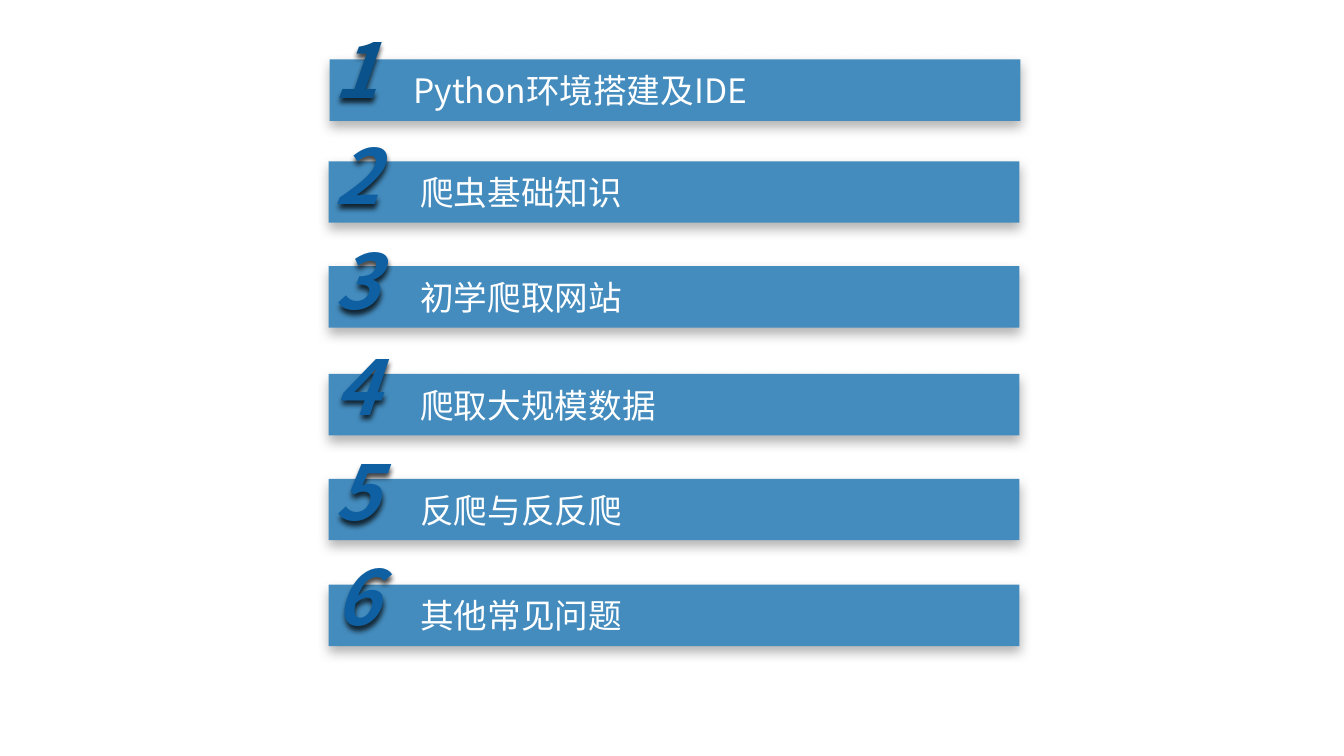
from lxml.etree import SubElement
from pptx import Presentation
from pptx.dml.color import RGBColor
from pptx.enum.shapes import MSO_SHAPE
from pptx.enum.text import MSO_ANCHOR, MSO_AUTO_SIZE, PP_ALIGN
from pptx.oxml.ns import qn
from pptx.util import Inches, Pt

COLORS = {"bar": "448CBE", "label": "FFFFFF", "first": "09528B",
          "digit": "0E60A2", "soft": "808080", "dark": "000000"}
FONT = "Noto Sans CJK SC"

# label, bar left, bar top, label inset, digit left, digit width, digit colour
ROWS = [
    ("Python环境搭建及IDE", 3.27, 0.59, 0.83, 3.21, 0.77, "first"),
    ("爬虫基础知识", 3.26, 1.6, 0.91, 3.22, 0.75, "digit"),
    ("初学爬取网站", 3.26, 2.64, 0.91, 3.22, 1.05, "digit"),
    ("爬取大规模数据", 3.26, 3.71, 0.91, 3.22, 1.05, "digit"),
    ("反爬与反反爬", 3.26, 4.75, 0.91, 3.22, 1.05, "digit"),
    ("其他常见问题", 3.26, 5.8, 0.91, 3.22, 1.05, "digit"),
]
DIGIT_TOP, DIGIT_SPAN = 0.18, 5.23


class Agenda:
    def __init__(self, slide):
        self.slide = slide
        self.group = None

    def start(self):
        """Open a new group for one agenda row."""
        self.group = self.slide.shapes.add_group_shape().shapes

    def color(self, name):
        return RGBColor.from_string(COLORS[name])

    def shadow(self, shape, name, alpha, blur, dist):
        """Cast a shadow straight down; alpha in percent, lengths in points."""
        shape.shadow.inherit = False
        effects = shape._element.spPr.find(qn("a:effectLst"))
        outer = SubElement(effects, qn("a:outerShdw"), blurRad=str(Pt(blur)),
                           dist=str(Pt(dist)), dir="5400000",
                           algn="t", rotWithShape="0")
        tint = SubElement(outer, qn("a:srgbClr"), val=COLORS[name])
        SubElement(tint, qn("a:alpha"), val=str(alpha * 1000))

    def label(self, shape, text, color, frame, font):
        for key, value in frame.items():
            setattr(shape.text_frame, key, value)
        para = shape.text_frame.paragraphs[0]
        para.alignment = PP_ALIGN.LEFT
        run = para.add_run()
        run.text = text
        for key, value in {"name": FONT, **font}.items():
            setattr(run.font, key, value)
        run.font.color.rgb = self.color(color)
        SubElement(run._r.get_or_add_rPr(), qn("a:ea"), typeface=FONT)

    def bar(self, text, left, top, inset):
        shape = self.group.add_shape(MSO_SHAPE.RECTANGLE, Inches(left), Inches(top),
                                     Inches(6.85), Inches(0.61))
        shape.fill.solid()
        shape.fill.fore_color.rgb = self.color("bar")
        shape.line.fill.background()
        self.shadow(shape, "soft", 58, 8, 4)
        self.label(shape, text, "label",
                   {"word_wrap": True, "vertical_anchor": MSO_ANCHOR.MIDDLE,
                    "margin_left": Inches(inset)},
                   {"size": Pt(24)})

    def digit(self, text, left, top, width, color):
        box = self.group.add_textbox(Inches(left), Inches(top),
                                     Inches(width), Inches(1.01))
        self.shadow(box, "dark", 75, 4, 3)
        self.label(box, text, color,
                   {"word_wrap": True, "auto_size": MSO_AUTO_SIZE.SHAPE_TO_FIT_TEXT},
                   {"size": Pt(54), "bold": True, "italic": True})


def main():
    deck = Presentation()
    deck.slide_width, deck.slide_height = Inches(13.33), Inches(7.5)
    page = Agenda(deck.slides.add_slide(deck.slide_layouts[6]))
    step = DIGIT_SPAN / (len(ROWS) - 1)
    for i, (text, left, top, inset, x, width, color) in enumerate(ROWS):
        page.start()
        page.bar(text, left, top, inset)
        page.digit(str(i + 1), x, DIGIT_TOP + i * step, width, color)
    deck.save("out.pptx")


if __name__ == "__main__":
    main()
